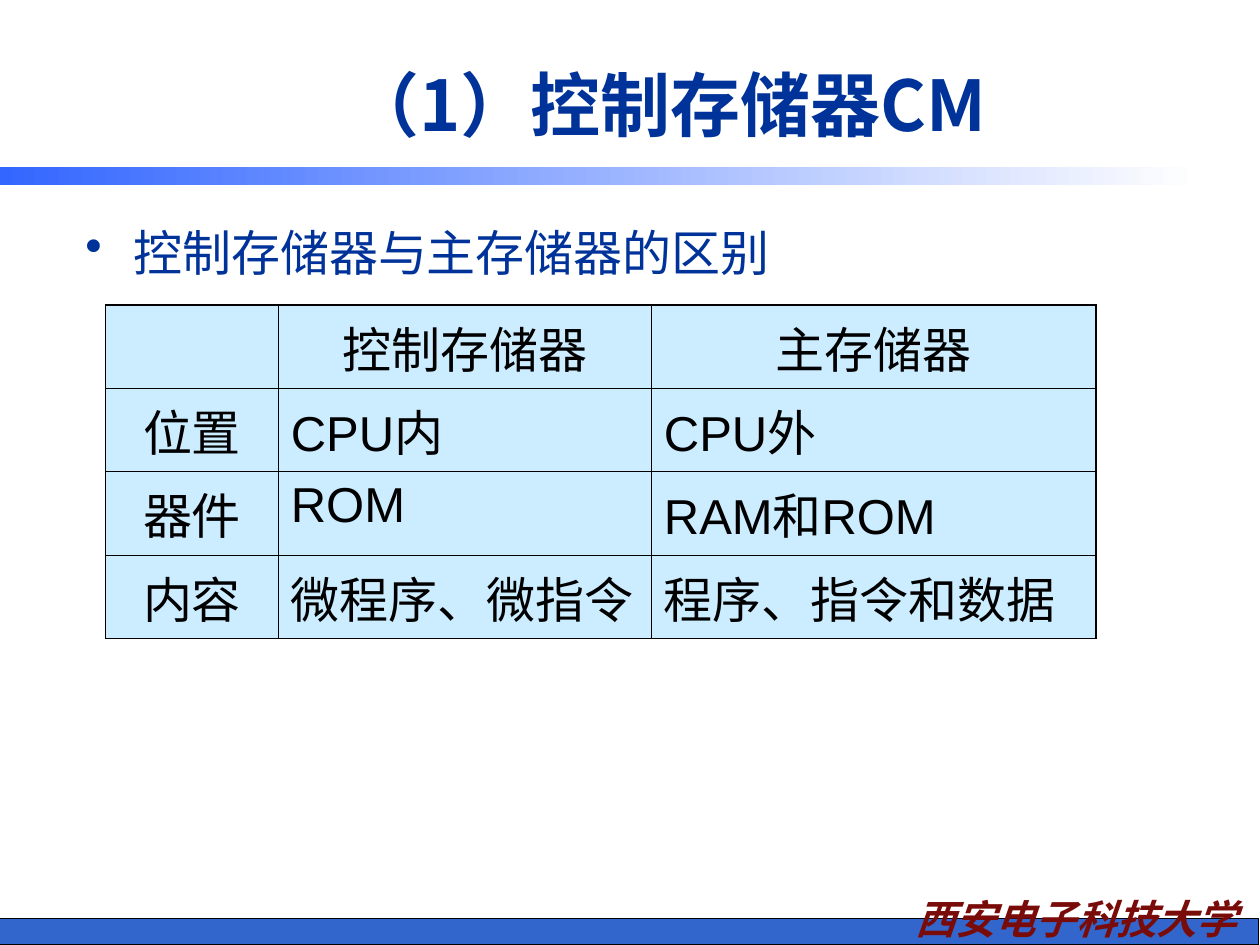
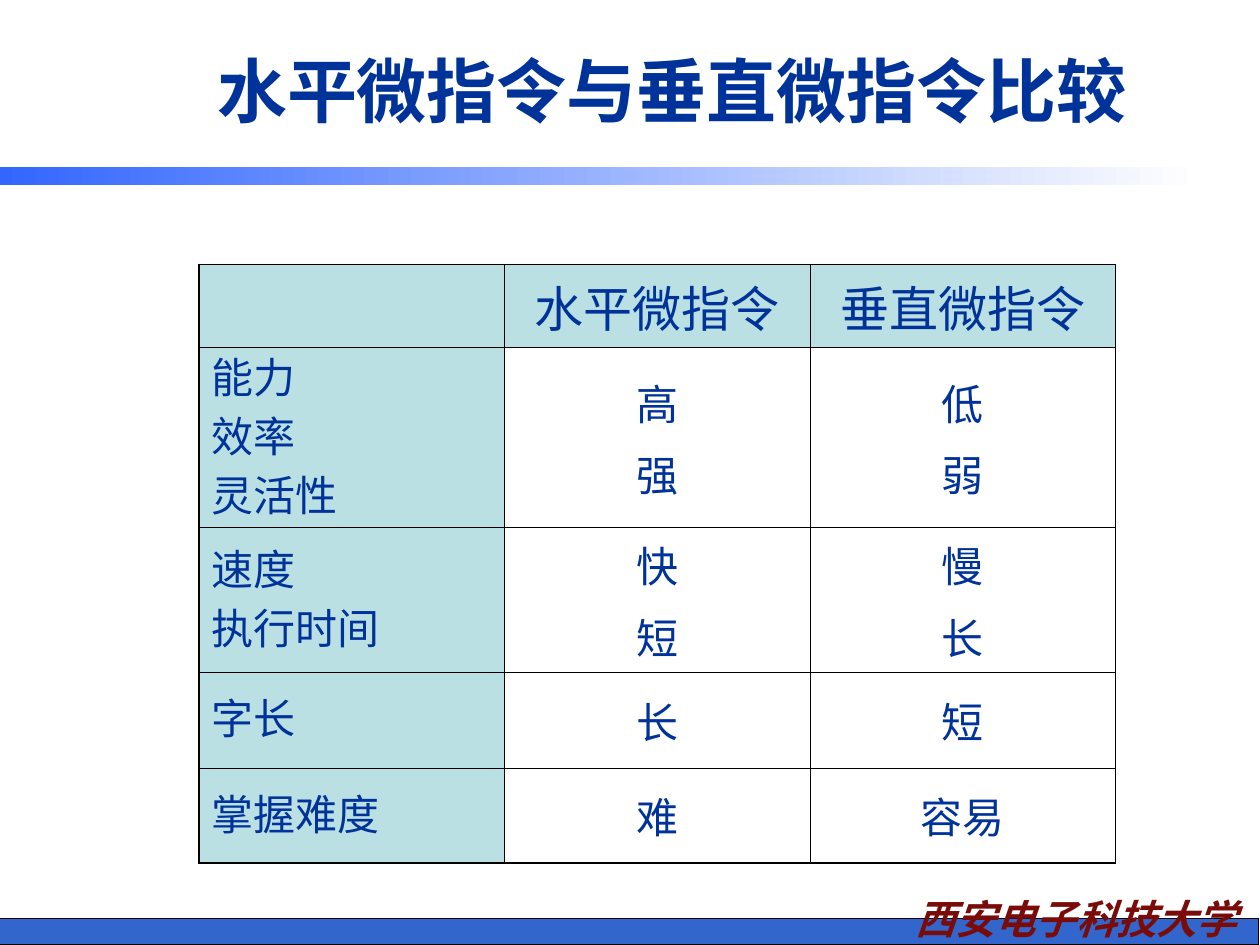
from dataclasses import dataclass

from lxml.etree import SubElement
from pptx import Presentation
from pptx.dml.color import RGBColor
from pptx.enum.shapes import MSO_SHAPE
from pptx.enum.text import MSO_ANCHOR, MSO_AUTO_SIZE, PP_ALIGN
from pptx.oxml import parse_xml
from pptx.oxml.ns import nsdecls, qn
from pptx.util import Cm, Pt


@dataclass(frozen=True)
class Theme:
    # Colours
    ink: RGBColor = RGBColor(0x00, 0x33, 0x99)
    black: RGBColor = RGBColor(0x00, 0x00, 0x00)
    white: RGBColor = RGBColor(0xFF, 0xFF, 0xFF)
    band: RGBColor = RGBColor(0x33, 0x66, 0xFF)
    footer: RGBColor = RGBColor(0x33, 0x66, 0xCC)
    school: RGBColor = RGBColor(0x79, 0x0C, 0x09)
    sky: RGBColor = RGBColor(0xCC, 0xEC, 0xFF)
    teal: RGBColor = RGBColor(0xBB, 0xE0, 0xE3)
    # Fonts, type sizes and rule widths in points
    latin: str = "Arial"
    cjk: str = "Noto Sans CJK SC"
    title: int = 40
    large: int = 28
    medium: int = 24
    school_size: int = 23
    outer_rule: float = 1.08
    inner_rule: float = 0.45


T = Theme()


@dataclass(frozen=True)
class TableStyle:
    color: RGBColor
    fill: RGBColor
    body_fill: RGBColor | None
    body_size: int
    label_align: PP_ALIGN
    label_spacing: float
    body_align: PP_ALIGN
    body_anchor: MSO_ANCHOR


# Text
def add_run(p, text, size, color, font=T.latin, bold=False, italic=False):
    r = p.add_run()
    r.text = text
    f = r.font
    f.name, f.size, f.bold, f.italic = font, Pt(size), bold, italic
    f.color.rgb = color
    ea = SubElement(r._r.get_or_add_rPr(), qn("a:ea"))
    ea.set("typeface", T.cjk)


def add_textbox(s, x, y, w, h):
    tf = s.shapes.add_textbox(Cm(x), Cm(y), Cm(w), Cm(h)).text_frame
    tf.word_wrap = True
    return tf.paragraphs[0]


def set_title(s, text, x, y, font):
    sp = s.shapes.title
    sp.left, sp.top, sp.width, sp.height = Cm(x), Cm(y), Cm(20.32), Cm(2.74)
    tf = sp.text_frame
    tf.auto_size = MSO_AUTO_SIZE.NONE
    tf.vertical_anchor = MSO_ANCHOR.MIDDLE
    p = tf.paragraphs[0]
    p.alignment = PP_ALIGN.CENTER
    add_run(p, text, T.title, T.ink, font, bold=True)


def add_bullet(s, text, x, y, w, h):
    p = add_textbox(s, x, y, w, h)
    pPr = p._p.get_or_add_pPr()
    pPr.set("marL", str(Cm(0.97)))
    pPr.set("indent", str(-Cm(0.97)))
    SubElement(pPr, qn("a:buChar")).set("char", "•")
    p.line_spacing = 1.1
    add_run(p, text, T.large, T.ink)


# Shared band and footer
def add_bar(s, x, y, w, h):
    sp = s.shapes.add_shape(MSO_SHAPE.RECTANGLE, Cm(x), Cm(y), Cm(w), Cm(h))
    sp.shadow.inherit = False
    return sp


def add_frame(s):
    footer = add_bar(s, -0.03, 18.52, 25.4, 0.53)
    footer.fill.solid()
    footer.fill.fore_color.rgb = T.footer
    footer.line.color.rgb = T.black
    footer.line.width = Pt(0.75)

    p = add_textbox(s, 17.7, 17.91, 8, 1.24)
    p.alignment = PP_ALIGN.CENTER
    add_run(p, "西安电子科技大学", T.school_size, T.school, T.cjk, bold=True, italic=True)

    band = add_bar(s, 0, 3.37, 24.16, 0.36)
    band.line.fill.background()
    band.fill.gradient()
    band.fill.gradient_angle = 0
    for stop, position, color in zip(band.fill.gradient_stops, (0, 1), (T.band, T.white)):
        stop.position = position
        stop.color.rgb = color


# Tables
def set_borders(cell, outer_sides):
    tcPr = cell._tc.get_or_add_tcPr()
    for i, side in enumerate("LRTB"):
        width = T.outer_rule if side in outer_sides else T.inner_rule
        tcPr.insert(i, parse_xml(
            f'<a:ln{side} {nsdecls("a")} w="{Pt(width)}"><a:solidFill>'
            f'<a:srgbClr val="{T.black}"/></a:solidFill></a:ln{side}>'))


def fill_cell(cell, text, size, style, align, anchor, spacing=None):
    cell.vertical_anchor = anchor
    tf = cell.text_frame
    for i, line in enumerate(text.split("\n") if text else []):
        p = tf.add_paragraph() if i else tf.paragraphs[0]
        p.alignment = align
        if spacing:
            p.line_spacing = spacing
        if i:
            p.space_before = Pt(6)
        add_run(p, line, size, style.color)


def add_table(s, rows, x, y, widths, heights, style):
    last_row, last_col = len(heights) - 1, len(widths) - 1
    tbl = s.shapes.add_table(len(heights), len(widths), Cm(x), Cm(y),
                             Cm(sum(widths)), Cm(sum(heights))).table
    tbl.first_row = tbl.horz_banding = False
    for col, w in zip(tbl.columns, widths):
        col.width = Cm(w)
    for i, (row, h) in enumerate(zip(rows, heights)):
        tbl.rows[i].height = Cm(h)
        for j, text in enumerate(row):
            cell = tbl.cell(i, j)
            fill = style.body_fill if i and j else style.fill
            if fill is None:
                cell.fill.background()
            else:
                cell.fill.solid()
                cell.fill.fore_color.rgb = fill
            edges = {"L": j == 0, "R": j == last_col, "T": i == 0, "B": i == last_row}
            set_borders(cell, [side for side, outer in edges.items() if outer])
            if i == 0:
                fill_cell(cell, text, T.large, style, PP_ALIGN.CENTER, MSO_ANCHOR.MIDDLE)
            elif j == 0:
                fill_cell(cell, text, style.body_size, style, style.label_align,
                          MSO_ANCHOR.MIDDLE, style.label_spacing)
            else:
                fill_cell(cell, text, style.body_size, style, style.body_align,
                          style.body_anchor)


def add_slide(prs, title, x, y, font=T.latin):
    s = prs.slides.add_slide(prs.slide_layouts[5])
    add_frame(s)
    set_title(s, title, x, y, font)
    return s


def main():
    prs = Presentation()
    prs.slide_width, prs.slide_height = Cm(25.4), Cm(19.05)

    # Control memory against main memory
    s = add_slide(prs, "（1）控制存储器CM", 3.3, 0.71, T.cjk)
    add_bullet(s, "控制存储器与主存储器的区别", 1.47, 4.24, 22.76, 12.57)
    memories = [
        ("", "控制存储器", "主存储器"),
        ("位置", "CPU内", "CPU外"),
        ("器件", "ROM", "RAM和ROM"),
        ("内容", "微程序、微指令", "程序、指令和数据"),
    ]
    add_table(s, memories, 2.13, 6.15, [3.48, 7.52, 8.97], [1.68] * 4,
              TableStyle(T.black, T.sky, T.sky, T.large, PP_ALIGN.CENTER, 1.0,
                         PP_ALIGN.LEFT, MSO_ANCHOR.TOP))

    # Horizontal against vertical microinstructions
    s = add_slide(prs, "水平微指令与垂直微指令比较", 3.38, 0.43)
    instructions = [
        ("", "水平微指令", "垂直微指令"),
        ("能力\n效率\n灵活性", "高\n强", "低\n弱"),
        ("速度\n执行时间", "快\n短", "慢\n长"),
        ("字长", "长", "短"),
        ("掌握难度", "难", "容易"),
    ]
    add_table(s, instructions, 4.01, 5.33, [6.16] * 3, [1.68, 3.63, 2.92, 1.92, 1.92],
              TableStyle(T.ink, T.teal, None, T.medium, PP_ALIGN.LEFT, 0.8,
                         PP_ALIGN.CENTER, MSO_ANCHOR.MIDDLE))

    prs.save("out.pptx")


if __name__ == "__main__":
    main()
